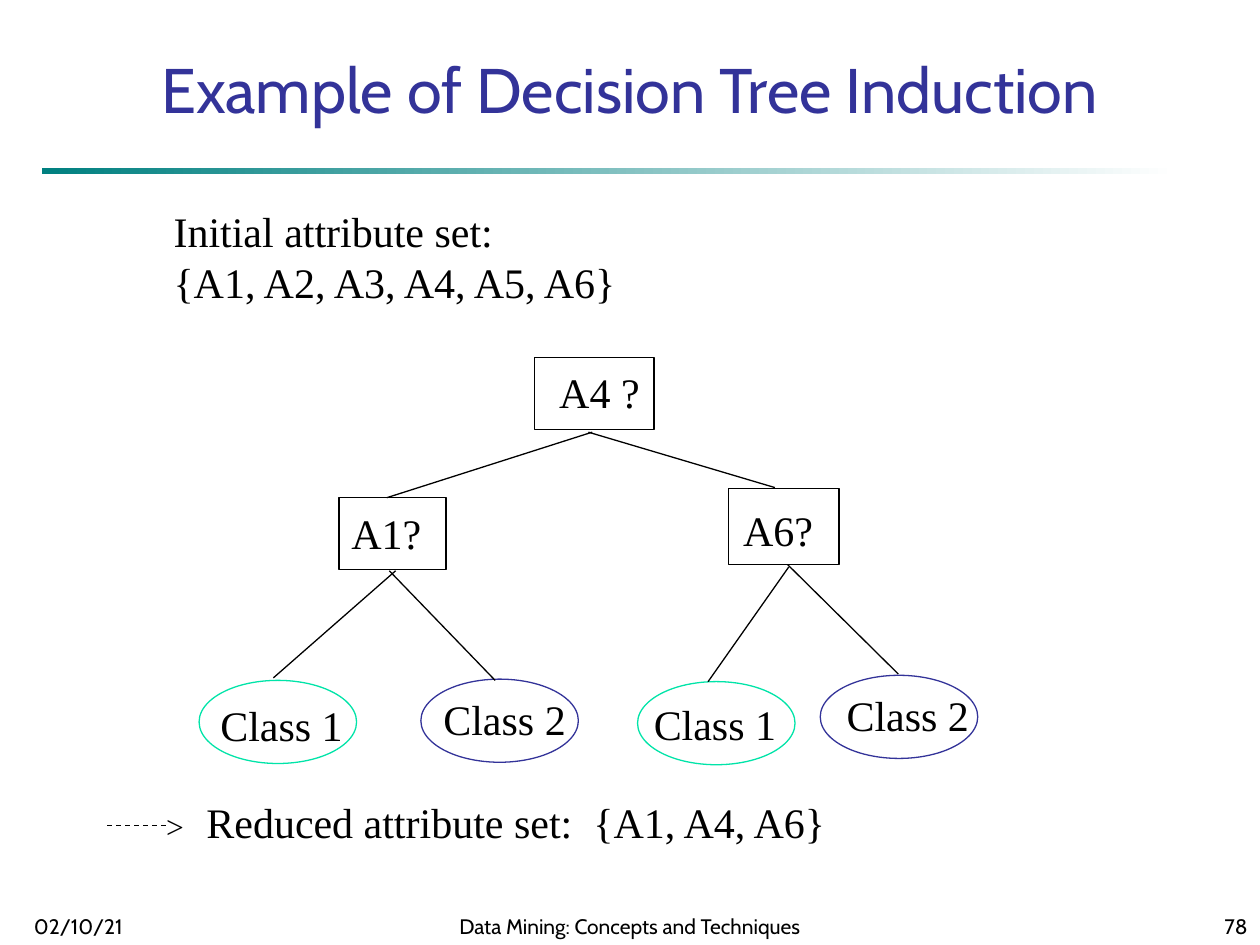
from pptx import Presentation
from pptx.dml.color import RGBColor
from pptx.enum.dml import MSO_LINE
from pptx.enum.shapes import MSO_CONNECTOR, MSO_SHAPE
from pptx.enum.text import MSO_ANCHOR, PP_ALIGN
from pptx.oxml.ns import qn
from pptx.util import Inches, Pt
from lxml import etree

BLACK = RGBColor(0x00, 0x00, 0x00)
WHITE = RGBColor(0xFF, 0xFF, 0xFF)
BLUE = RGBColor(0x33, 0x33, 0x99)
TEAL = RGBColor(0x00, 0x80, 0x80)
MINT = RGBColor(0x00, 0xE4, 0xA8)

RECT, OVAL = MSO_SHAPE.RECTANGLE, MSO_SHAPE.OVAL
LEFT, MID, RIGHT = PP_ALIGN.LEFT, PP_ALIGN.CENTER, PP_ALIGN.RIGHT
TOP, BASE = MSO_ANCHOR.TOP, MSO_ANCHOR.BOTTOM
STRAIGHT, DASH = MSO_CONNECTOR.STRAIGHT, MSO_LINE.DASH
SANS, SERIF = "Cabin", "Times New Roman"

# The slide is a grid of 100 columns by 75 rows of square cells
COLS, ROWS = 100, 75
CELL = Inches(10) / COLS


def grid(*vals):
    return [round(val * CELL) for val in vals]


def add_text(shapes, box, lines, size=24, face=SERIF, color=BLACK,
             align=LEFT, anchor=TOP):
    frame = shapes.add_textbox(*grid(*box)).text_frame
    frame.word_wrap = True
    frame.vertical_anchor = anchor
    frame.text = lines
    for para in frame.paragraphs:
        para.alignment = align
        if face == SERIF:
            para.line_spacing = Pt(round(size * 1.2))
        para.font.size = Pt(size)
        para.font.name = face
        para.font.color.rgb = color


def add_line(shapes, x1, y1, x2, y2, dash=None):
    line = shapes.add_connector(STRAIGHT, *grid(x1, y1, x2, y2))
    line.line.color.rgb = BLACK
    line.line.width = Pt(0.75)
    if dash:
        line.line.dash_style = dash
    etree.SubElement(line._element.spPr, qn("a:effectLst"))


def add_node(shapes, kind, box, color, label, dx, dy, wide):
    """Outlined node whose label sits dx, dy from its corner."""
    x, y = box[:2]
    node = shapes.add_shape(kind, *grid(*box))
    node.shadow.inherit = False
    node.fill.background()
    node.line.color.rgb = color
    node.line.width = Pt(0.75)
    add_text(shapes, (x + dx, y + dy, wide, 5), label)


def add_head(shapes, x, y, w, h):
    """Title above a rule that fades to the right."""
    rule = shapes.add_shape(RECT, *grid(x, y + h - 0.5, w, 0.5))
    rule.shadow.inherit = False
    rule.line.fill.background()
    rule.fill.gradient()
    rule.fill.gradient_angle = 0
    for stop, color in zip(rule.fill.gradient_stops, (TEAL, WHITE)):
        stop.color.rgb = color
    add_text(shapes, (x + 0.6, y, w + 2.1, 7), "Example of Decision Tree Induction",
             36, SANS, BLUE, MID)


def add_foot(shapes, x, y, w, h):
    """Date, course title and page number."""
    side, main = 20.8, 31.7
    parts = (
        ("02/10/21", x, side, LEFT),
        ("Data Mining: Concepts and Techniques", (COLS - main) / 2, main, MID),
        ("78", x + w - side, side, RIGHT),
    )
    for label, left, wide, align in parts:
        add_text(shapes, (left, y, wide, h), label, 12, SANS,
                 align=align, anchor=BASE)


def add_tree(shapes, x, y):
    """Decision tree: three tests, four classes and their branches."""
    tests = (
        ("A4 ?", 26.6, 0, 9.5, 5.7, 1, 0.2),
        ("A1?", 11.1, 11.1, 8.5, 5.7, 0, 0.3),
        ("A6?", 42, 10.4, 8.8, 6, 0.2, 0.7),
    )
    for label, dx, dy, w, h, *place in tests:
        add_node(shapes, RECT, (x + dx, y + dy, w, h), BLACK, label, *place, 9.7)

    leaves = (
        ("Class 1", 0, 25.6, MINT, 0.7, 1),
        ("Class 2", 17.6, 25.5, BLUE, 0.8, 0.6),
        ("Class 1", 34.8, 25.7, MINT, 0.3, 0.8),
        ("Class 2", 49.3, 25.2, BLUE, 1.1, 0.6),
    )
    for label, dx, dy, color, *place in leaves:
        add_node(shapes, OVAL, (x + dx, y + dy, 12.5, 6.6), color, label, *place, 12.5)

    branches = (
        (31.2, 5.9, 14.9, 11.1), (30.9, 5.9, 45.7, 10.3),
        (15.6, 16.9, 5.9, 25.4), (15.1, 16.9, 23.5, 25.6),
        (46.8, 16.6, 40.4, 25.7), (46.7, 16.4, 55.5, 25.1),
    )
    for x1, y1, x2, y2 in branches:
        add_line(shapes, x + x1, y + y1, x + x2, y + y2)


def add_result(shapes, x, y):
    """Dashed arrow and the reduced set."""
    arrow = shapes.add_group_shape().shapes
    add_line(arrow, x, y + 2.8, x + 4.8, y + 2.8, DASH)
    add_text(arrow, (x + 3.7, y + 0.8, 4, 4), ">", 18)
    add_text(shapes, (x + 6.9, y, 53, 5), "Reduced attribute set:  {A1, A4, A6}")


def main():
    deck = Presentation()
    deck.slide_width, deck.slide_height = grid(COLS, ROWS)
    shapes = deck.slides.add_slide(deck.slide_layouts[6]).shapes
    add_head(shapes, 3.3, 3.5, 90, 10.3)
    add_foot(shapes, 1.7, 70.8, 98.3, 4.2)
    add_text(shapes, (12.8, 15.8, 40, 9),
             "Initial attribute set:\n{A1, A2, A3, A4, A5, A6}")
    add_tree(shapes, 15.8, 28.4)
    add_result(shapes, 8.5, 62.7)
    deck.save("out.pptx")


if __name__ == "__main__":
    main()
